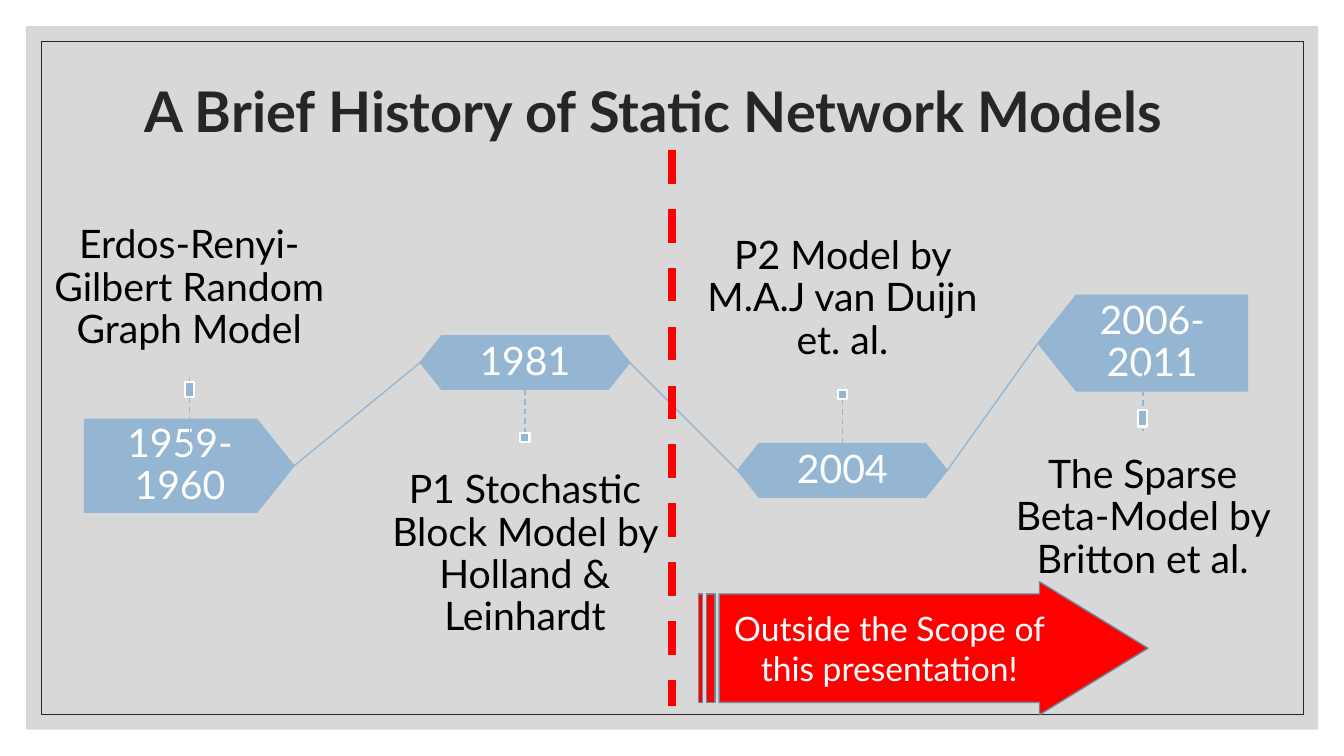
from itertools import pairwise

from lxml import etree
from pptx import Presentation
from pptx.dml.color import RGBColor
from pptx.enum.dml import MSO_LINE
from pptx.enum.shapes import MSO_CONNECTOR, MSO_SHAPE
from pptx.enum.text import MSO_ANCHOR, PP_ALIGN
from pptx.oxml.ns import qn
from pptx.util import Cm, Pt

RECTANGLE = MSO_SHAPE.RECTANGLE
PENTAGON = MSO_SHAPE.PENTAGON
HEXAGON = MSO_SHAPE.HEXAGON
STRIPED_ARROW = MSO_SHAPE.STRIPED_RIGHT_ARROW
STRAIGHT = MSO_CONNECTOR.STRAIGHT
DASH = MSO_LINE.DASH
TOP, MIDDLE, BOTTOM = MSO_ANCHOR.TOP, MSO_ANCHOR.MIDDLE, MSO_ANCHOR.BOTTOM
CENTER = PP_ALIGN.CENTER

COLORS = {
    "backdrop": "BFBFBF",
    "dark": "262626",
    "blue": "94B6D2",
    "white": "FFFFFF",
    "black": "000000",
    "red": "FF0000",
    "arrow_edge": "6D879B",
}
MARKER_WIDTH = 5.28
DESCRIPTION_WIDTH = 7.34
KNOB_WIDTH = 0.23


class TimelineSlide:
    """Draws timeline elements on one slide, with all lengths in centimetres."""

    font = "Lato"

    def __init__(self, slide):
        self.slide = slide

    def color(self, name):
        return RGBColor.from_string(COLORS[name])

    def fill_text(self, text_frame, text, size, color, anchor=MIDDLE,
                  spacing=0.9, insets=(0.25, 0.13), bold=False):
        text_frame.text = text
        text_frame.word_wrap = True
        text_frame.vertical_anchor = anchor
        text_frame.margin_left = text_frame.margin_right = Cm(insets[0])
        text_frame.margin_top = text_frame.margin_bottom = Cm(insets[1])
        paragraph = text_frame.paragraphs[0]
        paragraph.alignment = CENTER
        paragraph.line_spacing = spacing
        font = paragraph.runs[0].font
        font.name, font.size, font.bold = self.font, Pt(size), bold
        font.color.rgb = self.color(color)

    def text(self, box, text, size, color, **style):
        text_box = self.slide.shapes.add_textbox(*map(Cm, box))
        self.fill_text(text_box.text_frame, text, size, color, **style)

    def shape(self, kind, box, fill=None, line=None, width=1, adjustments=()):
        shape = self.slide.shapes.add_shape(kind, *map(Cm, box))
        shape.shadow.inherit = False
        for index, value in enumerate(adjustments):
            shape.adjustments[index] = value
        if fill:
            shape.fill.solid()
            shape.fill.fore_color.rgb = self.color(fill)
        else:
            shape.fill.background()
        if line:
            shape.line.color.rgb = self.color(line)
            shape.line.width = Pt(width)
        else:
            shape.line.fill.background()
        return shape

    def line(self, start, end, color="blue", width=1, dash=None):
        connector = self.slide.shapes.add_connector(STRAIGHT, *map(Cm, start + end))
        connector.line.color.rgb = self.color(color)
        connector.line.width = Pt(width)
        connector.line.dash_style = dash
        etree.SubElement(connector._element.spPr, qn("a:effectLst"))
        return connector

    def backdrop(self):
        panel = self.shape(RECTANGLE, (0.66, 0.66, 32.56, 17.73), "backdrop")
        fill_color = panel._element.spPr.find(".//" + qn("a:srgbClr"))
        etree.SubElement(fill_color, qn("a:alpha"), val="60000")
        self.shape(RECTANGLE, (1.04, 1.04, 31.8, 16.97), line="dark", width=0.5)

    def marker(self, kind, left, top, height, years, flipped=False):
        marker = self.shape(kind, (left, top, MARKER_WIDTH, height), "blue", "blue",
                            adjustments=[0.4])
        if flipped:
            marker._element.spPr.find(qn("a:xfrm")).set("flipH", "1")
        self.fill_text(marker.text_frame, years, 28, "white", insets=(0.58, 0))

    def description(self, center, top, height, text, anchor):
        box = (center - DESCRIPTION_WIDTH / 2, top, DESCRIPTION_WIDTH, height)
        self.text(box, text, 28, "black", anchor=anchor, insets=(0, 0.69))

    def stem(self, center, start, end, knob_top, knob_height):
        stem = self.line((center, start), (center, end), dash=DASH)
        knob = self.shape(RECTANGLE, (center - KNOB_WIDTH / 2, knob_top,
                                      KNOB_WIDTH, knob_height), "blue", "white", 1.5)
        if end == knob_top:
            stem.end_connect(knob, 0)
        elif start == round(knob_top + knob_height, 2):
            stem.begin_connect(knob, 2)


MILESTONES = [
    {"marker": (PENTAGON, 2.13, 10.57, 2.34, "1959-1960"),
     "description": (4.78, 4.78, "Erdos-Renyi-Gilbert Random Graph Model", BOTTOM),
     "stem": (9.53, 11.46, 9.63, 0.38)},
    {"marker": (HEXAGON, 10.59, 8.46, 1.35, "1981"),
     "description": (11.15, 3.61, "P1 Stochastic Block Model by Holland & Leinhardt", TOP),
     "stem": (9.81, 10.92, 10.92, 0.23)},
    {"marker": (HEXAGON, 18.59, 11.18, 1.35, "2004"),
     "description": (6.22, 3.61, "P2 Model by M.A.J van Duijn et. al.", BOTTOM),
     "stem": (10.06, 11.18, 9.83, 0.23)},
    {"marker": (PENTAGON, 26.16, 7.44, 2.41, "2006-2011", True),
     "description": (10.77, 4.9, "The Sparse Beta-Model by Britton et al.", TOP),
     "stem": (8.86, 10.87, 10.34, 0.41)},
]


def main():
    presentation = Presentation()
    presentation.slide_width, presentation.slide_height = Cm(33.87), Cm(19.05)
    timeline = TimelineSlide(presentation.slides.add_slide(presentation.slide_layouts[6]))

    timeline.backdrop()
    timeline.text((2.49, 0.97, 27.94, 3.81), "A Brief History of Static Network Models",
                  40, "dark", bold=True)

    for milestone in MILESTONES:
        center = milestone["marker"][1] + MARKER_WIDTH / 2
        timeline.marker(*milestone["marker"])
        timeline.description(center, *milestone["description"])
        timeline.stem(center, *milestone["stem"])

    for earlier, later in pairwise(milestone["marker"] for milestone in MILESTONES):
        timeline.line((earlier[1] + MARKER_WIDTH, earlier[2] + earlier[3] / 2),
                      (later[1], later[2] + later[3] / 2))

    timeline.line((16.94, 3.78), (16.94, 17.78), "red", 6, DASH)
    scope_arrow = timeline.shape(STRIPED_ARROW, (17.6, 14.66, 11.33, 3.35), "red",
                                 "arrow_edge", adjustments=[0.816, 0.816])
    timeline.fill_text(scope_arrow.text_frame, "Outside the Scope of this presentation!",
                       24, "white", spacing=1.0)
    presentation.save("out.pptx")


if __name__ == "__main__":
    main()
